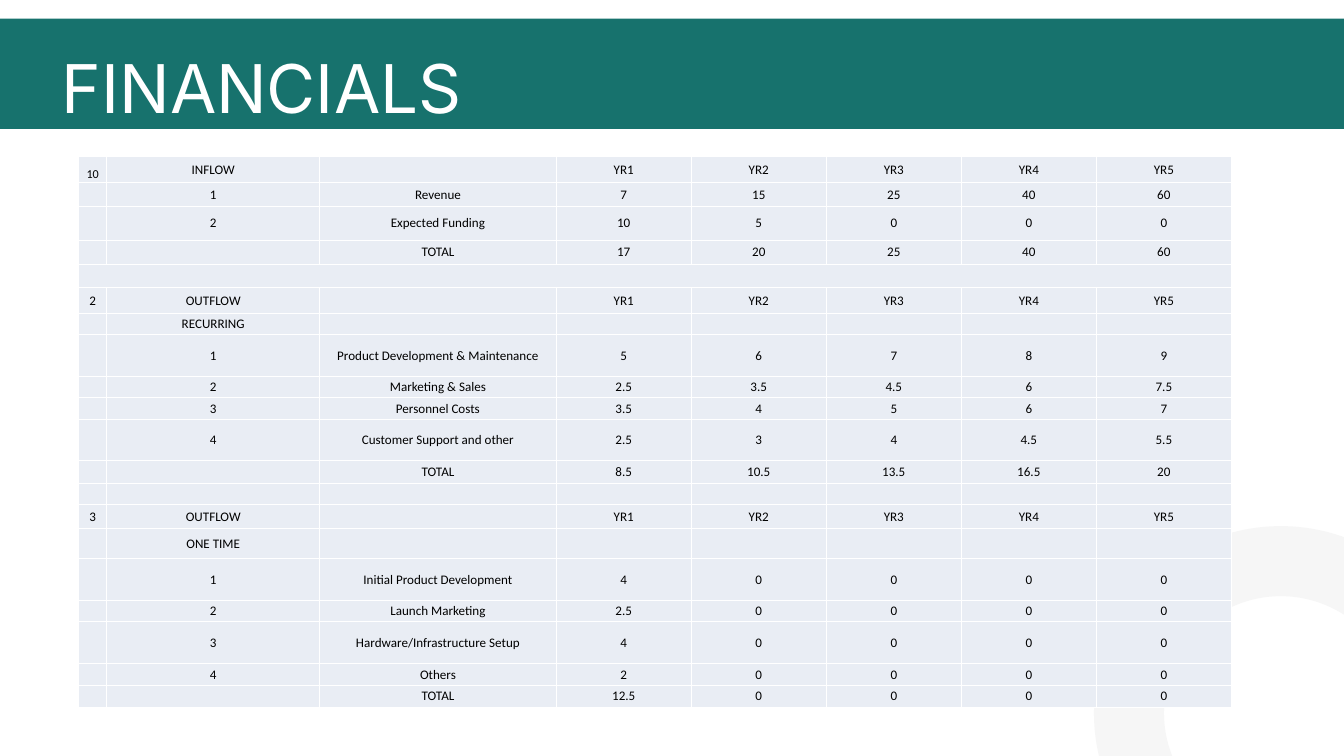
from lxml import etree
from pptx import Presentation
from pptx import util as u
from pptx.dml.color import RGBColor
from pptx.enum import shapes, text
from pptx.oxml import ns

TEAL = RGBColor(0x17, 0x72, 0x6D)
WHITE = RGBColor(0xFF, 0xFF, 0xFF)
BLACK = RGBColor(0, 0, 0)
PALE_GRAY = RGBColor(0xF6, 0xF6, 0xF6)
PALE_BLUE = RGBColor(0xE9, 0xED, 0xF4)

COLUMN_WIDTHS = [30.2, 228.2, 253.4] + [144.7] * 5
YEARS = ["YR1", "YR2", "YR3", "YR4", "YR5"]
BLANKS = [""] * 5
ZEROS = ["0"] * 4
ROWS = [
    (27.4, ["10", "INFLOW", "", *YEARS]),
    (25.9, ["", "1", "Revenue", "7", "15", "25", "40", "60"]),
    (36, ["", "2", "Expected Funding", "10", "5", "0", "0", "0"]),
    (25.9, ["", "", "TOTAL", "17", "20", "25", "40", "60"]),
    (25.2, None),
    (27.4, ["2", "OUTFLOW", "", *YEARS]),
    (23, ["", "RECURRING", "", *BLANKS]),
    (44.6, ["", "1", "Product Development & Maintenance", "5", "6", "7", "8", "9"]),
    (23, ["", "2", "Marketing & Sales", "2.5", "3.5", "4.5", "6", "7.5"]),
    (23, ["", "3", "Personnel Costs", "3.5", "4", "5", "6", "7"]),
    (44.6, ["", "4", "Customer Support and other", "2.5", "3", "4", "4.5", "5.5"]),
    (23.8, ["", "", "TOTAL", "8.5", "10.5", "13.5", "16.5", "20"]),
    (23, ["", "", "", *BLANKS]),
    (25.9, ["3", "OUTFLOW", "", *YEARS]),
    (32.4, ["", "ONE TIME", "", *BLANKS]),
    (44.6, ["", "1", "Initial Product Development", "4", *ZEROS]),
    (23, ["", "2", "Launch Marketing", "2.5", *ZEROS]),
    (44.6, ["", "3", "Hardware/Infrastructure Setup", "4", *ZEROS]),
    (23, ["", "4", "Others", "2", *ZEROS]),
    (23.8, ["", "", "TOTAL", "12.5", *ZEROS]),
]


def place(shape, left, top, width, height):
    shape.left, shape.top = u.Pt(left), u.Pt(top)
    shape.width, shape.height = u.Pt(width), u.Pt(height)


def add_header(page, left, top, width, height):
    band = page.shapes.add_shape(
        shapes.MSO_SHAPE.RECTANGLE, u.Pt(left), u.Pt(top), u.Pt(width), u.Pt(height))
    band.shadow.inherit = False
    band.fill.solid()
    band.fill.fore_color.rgb = TEAL
    band.line.fill.background()

    title = page.shapes.title
    title.element.addprevious(band.element)
    place(title, left + 66.2, top + 40.3, 641.5, 77.8)
    frame = title.text_frame
    frame.text = "FINANCIALS"
    frame.word_wrap = True
    frame.auto_size = text.MSO_AUTO_SIZE.SHAPE_TO_FIT_TEXT
    frame.vertical_anchor = text.MSO_ANCHOR.TOP
    frame.margin_left = frame.margin_right = frame.margin_top = frame.margin_bottom = 0
    para = frame.paragraphs[0]
    para.alignment = text.PP_ALIGN.LEFT
    para.line_spacing = u.Pt(75.6)
    para.font.name = "Inter"
    para.font.size = u.Pt(72)
    para.font.color.rgb = WHITE


def add_ring(page, left, top, size):
    ring = page.shapes.add_shape(
        shapes.MSO_SHAPE.OVAL, u.Pt(left), u.Pt(top), u.Pt(size), u.Pt(size))
    ring.shadow.inherit = False
    ring.fill.background()
    ring.line.color.rgb = PALE_GRAY
    ring.line.width = u.Pt(75)


def add_borders(cell):
    properties = cell._tc.get_or_add_tcPr()
    for side in ("a:lnL", "a:lnR", "a:lnT", "a:lnB"):
        line = etree.SubElement(properties, ns.qn(side), w=str(u.Pt(1)))
        fill = etree.SubElement(line, ns.qn("a:solidFill"))
        etree.SubElement(fill, ns.qn("a:srgbClr"), val=str(WHITE))


def format_cell(cell, value, size=14, anchor=text.MSO_ANCHOR.MIDDLE):
    add_borders(cell)
    cell.fill.solid()
    cell.fill.fore_color.rgb = PALE_BLUE
    cell.margin_left = cell.margin_right = cell.margin_top = u.Pt(0.7)
    cell.margin_bottom = 0
    cell.vertical_anchor = anchor
    cell.text = value
    para = cell.text_frame.paragraphs[0]
    para.alignment = text.PP_ALIGN.CENTER
    para.font.name = "Calibri"
    para.font.size = u.Pt(size)
    para.font.color.rgb = BLACK


def add_financial_table(page, left, top):
    width = sum(COLUMN_WIDTHS)
    height = sum(row_height for row_height, values in ROWS)
    table = page.shapes.add_table(
        len(ROWS), len(COLUMN_WIDTHS),
        u.Pt(left), u.Pt(top), u.Pt(width), u.Pt(height)).table
    table.first_row = table.horz_banding = False
    for column, column_width in zip(table.columns, COLUMN_WIDTHS):
        column.width = u.Pt(column_width)
    for row, (row_height, values) in zip(table.rows, ROWS):
        row.height = u.Pt(row_height)
        cells = list(row.cells)
        for cell, value in zip(cells, values or [""] * len(cells)):
            format_cell(cell, value)
        if values is None:
            cells[0].merge(cells[-1])
    corner = table.cell(0, 0)
    corner.vertical_anchor = text.MSO_ANCHOR.BOTTOM
    corner.text_frame.paragraphs[0].font.size = u.Pt(13)


def main():
    deck = Presentation()
    deck.slide_width, deck.slide_height = u.Pt(1440), u.Pt(810)
    page = deck.slides.add_slide(deck.slide_layouts.get_by_name("Title Only"))
    add_header(page, 0, 20, 1440, 118)
    add_ring(page, 1209.6, 601.2, 325.4)
    add_financial_table(page, 84.2, 167.8)
    deck.save("out.pptx")


if __name__ == "__main__":
    main()
